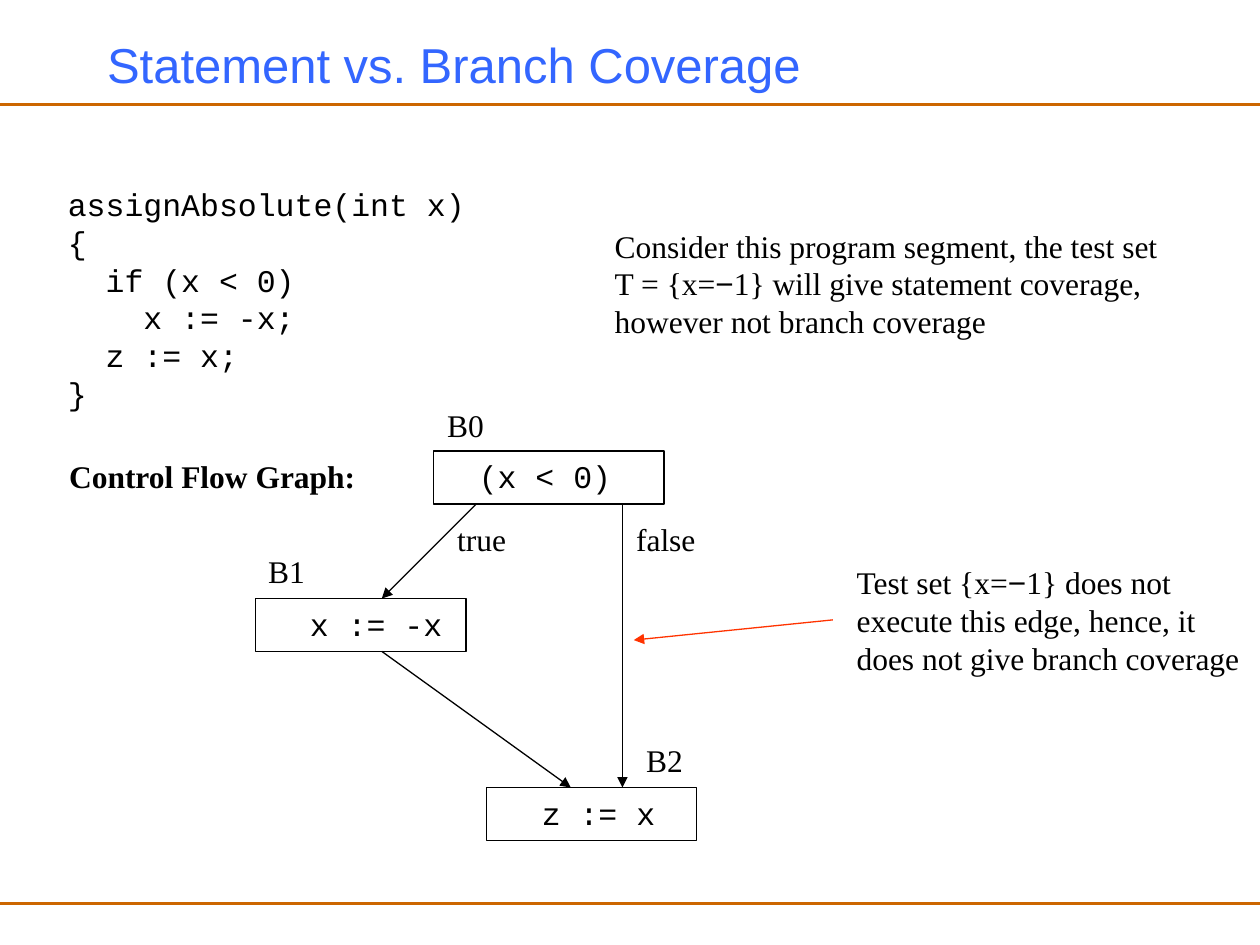
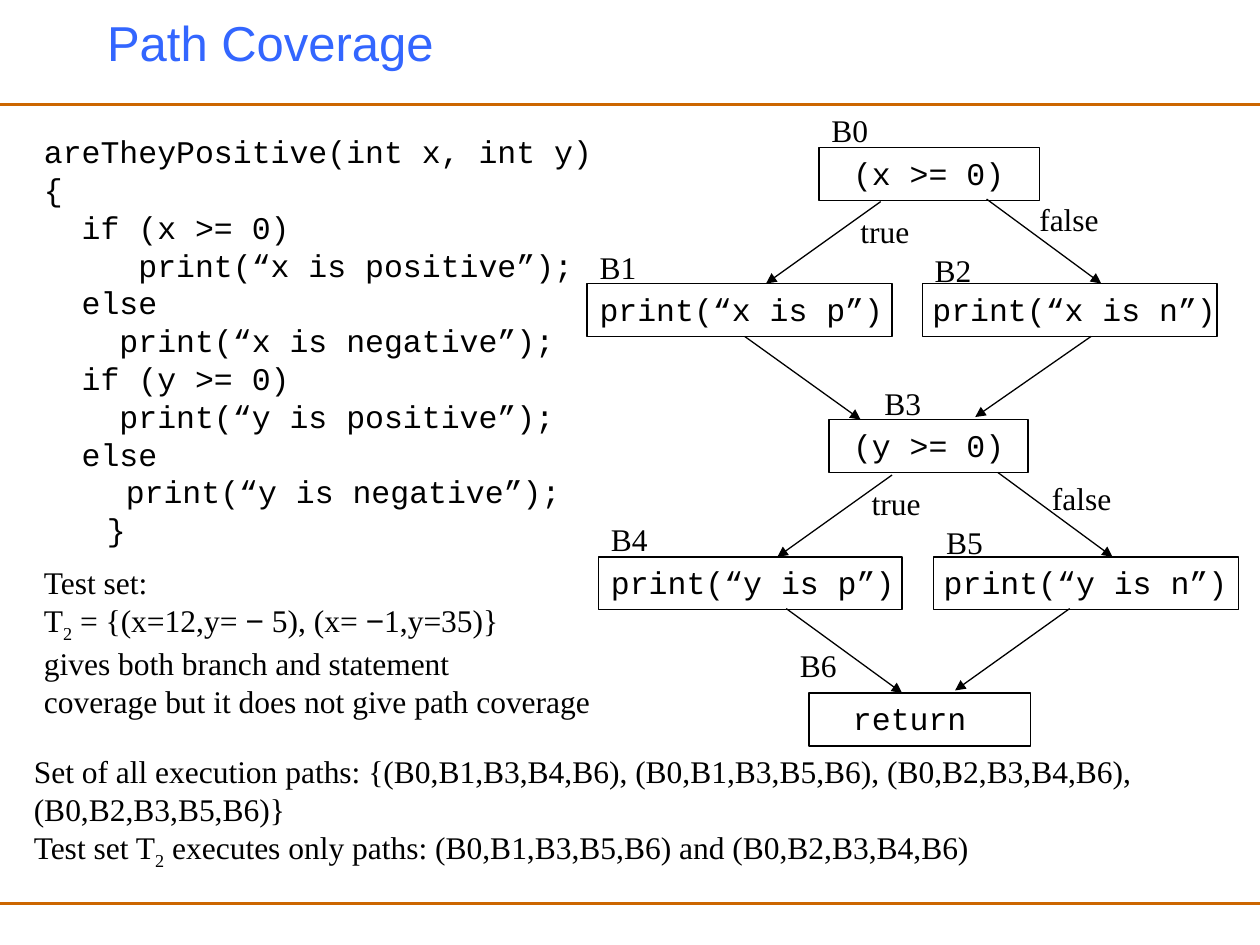
from itertools import groupby

from lxml import etree
from pptx import Presentation
from pptx.dml.color import RGBColor
from pptx.enum.shapes import MSO_CONNECTOR, MSO_SHAPE
from pptx.enum.text import MSO_ANCHOR, PP_ALIGN
from pptx.oxml.ns import qn
from pptx.util import Inches, Pt

SANS, SERIF, MONO = "Arial", "Times New Roman", "Courier New"
BLACK, BLUE, ORANGE, RED = "000000", "3366FF", "CC6600", "FF3300"
color = RGBColor.from_string


def write(shape, text, face=SERIF, bold=False, inset=0.1):
    """Fill a shape with lines of text; ₂ becomes a subscript and − is set in Arial."""
    frame = shape.text_frame
    frame.word_wrap = True
    frame.vertical_anchor = MSO_ANCHOR.TOP
    frame.margin_left, frame.margin_right = Inches(inset), 0
    frame.margin_top = frame.margin_bottom = Inches(0.05)
    for number, line in enumerate(text.split("\n")):
        para = frame.add_paragraph() if number else frame.paragraphs[0]
        para.alignment = PP_ALIGN.LEFT
        para.font.name, para.font.size, para.font.bold = face, Pt(18), bold
        para.font.color.rgb = color(BLACK)
        for mark, letters in groupby(line, lambda letter: letter if letter in "₂−" else ""):
            span = para.add_run()
            span.text = "2" if mark == "₂" else "".join(letters)
            if mark == "₂":
                span.font._element.set("baseline", "-25000")
            elif mark == "−":
                span.font.name = SANS
    return frame


def draw_line(page, start, end, hue=BLACK, width=0.75, arrow=True):
    line = page.shapes.add_connector(MSO_CONNECTOR.STRAIGHT, *map(Inches, start + end))
    line.line.color.rgb = color(hue)
    line.line.width = Pt(width)
    if arrow:
        etree.SubElement(line.line._get_or_add_ln(), qn("a:tailEnd"), type="triangle")
    etree.SubElement(line.element.spPr, qn("a:effectLst"))
    return line


assign_code = """assignAbsolute(int x)
{
  if (x < 0)
    x := -x;
  z := x;
}"""

positive_code = """areTheyPositive(int x, int y)
{
  if (x >= 0)
     print(“x is positive”);
  else
    print(“x is negative”);
  if (y >= 0)
    print(“y is positive”);
  else
 print(“y is negative”);
}"""

# Texts: left, top, width, height, text, font
# Nodes: left, top, width, text, text inset
# Labels: left, top, text
# Edges: start, end
slides = [
    {
        "title": "Statement vs. Branch Coverage",
        "title_top": 0.17,
        "texts": [
            (0.44, 1.42, 5, 1.9, assign_code, MONO),
            (4.78, 1.75, 4.6, 1, "Consider this program segment, the test set\n"
             "T = {x=−1} will give statement coverage,\nhowever not branch coverage", SERIF),
            (6.7, 4.42, 3.3, 1, "Test set {x=−1} does not\n"
             "execute this edge, hence, it\ndoes not give branch coverage", SERIF),
        ],
        "nodes": [
            (3.44, 3.58, 1.83, "(x < 0)", 0.36),
            (2.03, 4.75, 1.67, "x := -x", 0.43),
            (3.86, 6.25, 1.67, "z := x", 0.44),
        ],
        "labels": [
            (3.45, 3.17, "B0"), (2.03, 4.33, "B1"), (5.03, 5.83, "B2"),
            (3.53, 4.08, "true"), (4.95, 4.08, "false"),
        ],
        "edges": [
            ((3.78, 4), (3.03, 4.75)),
            ((3.03, 5.17), (4.53, 6.25)),
            ((4.94, 4), (4.94, 6.25)),
        ],
    },
    {
        "title": "Path Coverage",
        "title_top": 0,
        "texts": [
            (0.25, 1, 5, 3.4, positive_code, MONO),
            (0.25, 4.42, 5, 1.3, "Test set:\nT₂ = {(x=12,y= − 5), (x= −1,y=35)}\n"
             "gives both branch and statement\n"
             "coverage but it does not give path coverage", SERIF),
            (0.17, 5.92, 9.7, 1.04, "Set of all execution paths: {(B0,B1,B3,B4,B6), "
             "(B0,B1,B3,B5,B6), (B0,B2,B3,B4,B6), (B0,B2,B3,B5,B6)}\n"
             "Test set T₂ executes only paths: (B0,B1,B3,B5,B6) and (B0,B2,B3,B4,B6)", SERIF),
        ],
        "nodes": [
            (6.5, 1.17, 1.75, "(x >= 0)", 0.27),
            (4.66, 2.25, 2.42, "print(“x is p”)", 0.1),
            (7.32, 2.25, 2.34, "print(“x is n”)", 0.08),
            (6.58, 3.33, 1.58, "(y >= 0)", 0.19),
            (4.75, 4.42, 2.41, "print(“y is p”)", 0.1),
            (7.41, 4.42, 2.42, "print(“y is n”)", 0.08),
            (6.42, 5.5, 1.76, "return", 0.35),
        ],
        "labels": [
            (6.5, 0.83, "B0"), (4.66, 1.92, "B1"), (7.32, 1.94, "B2"), (6.92, 3, "B3"),
            (4.75, 4.08, "B4"), (7.41, 4.1, "B5"), (6.25, 5.08, "B6"),
            (6.73, 1.63, "true"), (8.15, 1.54, "false"),
            (6.82, 3.79, "true"), (8.25, 3.75, "false"),
        ],
        "edges": [
            ((6.99, 1.6), (6.08, 2.25)),
            ((7.83, 1.58), (8.74, 2.25)),
            ((5.91, 2.67), (6.83, 3.33)),
            ((8.66, 2.67), (7.74, 3.31)),
            ((7.08, 3.77), (6.17, 4.42)),
            ((7.92, 3.75), (8.83, 4.42)),
            ((6.24, 4.83), (7.16, 5.5)),
            ((8.49, 4.83), (7.58, 5.48)),
        ],
    },
]

deck = Presentation()
deck.slide_width, deck.slide_height = Inches(10), Inches(7.5)
pages, frames = [], []

for content in slides:
    page = deck.slides.add_slide(deck.slide_layouts[5])
    pages.append(page)

    title = page.shapes.title
    title.left, title.top = Inches(0.75), Inches(content["title_top"])
    title.width, title.height = Inches(8.5), Inches(0.67)
    title.text_frame.text = content["title"]
    title.text_frame.vertical_anchor = MSO_ANCHOR.MIDDLE
    heading = title.text_frame.paragraphs[0]
    heading.alignment = PP_ALIGN.LEFT
    heading.font.name, heading.font.size = SANS, Pt(28)
    heading.font.color.rgb = color(BLUE)

    for left, top, width, height, text, face in content["texts"]:
        box = page.shapes.add_textbox(*map(Inches, (left, top, width, height)))
        frames.append(write(box, text, face))

    for left, top, width, text, inset in content["nodes"]:
        node = page.shapes.add_shape(
            MSO_SHAPE.RECTANGLE, *map(Inches, (left, top, width, 0.42)))
        node.shadow.inherit = False
        node.fill.background()
        node.line.color.rgb = color(BLACK)
        node.line.width = Pt(0.75)
        write(node, text, MONO, inset=inset)

    for start, end in content["edges"]:
        draw_line(page, start, end)

    for left, top, text in content["labels"]:
        box = page.shapes.add_textbox(*map(Inches, (left, top, 0.75, 0.4)))
        write(box, text)

statement_page, path_page = pages

# The heading of the graph and the arrow to the edge that is never executed
graph_heading = statement_page.shapes.add_textbox(*map(Inches, (0.45, 3.58, 2.6, 0.4)))
write(graph_heading, "Control Flow Graph:", bold=True)
draw_line(statement_page, (6.61, 4.92), (5.03, 5.08), RED)

# The last two lines of the second program are indented
positive_frame = frames[len(slides[0]["texts"])]
for para in positive_frame.paragraphs[-2:]:
    para._p.get_or_add_pPr().set("marL", str(Inches(0.5)))

# Rules shared by all slides belong to the master
for number, height in enumerate((0.83, 7.17)):
    rule = draw_line(statement_page, (0, height), (10, height), ORANGE, 2, arrow=False)
    rule.element.nvCxnSpPr.cNvPr.set("id", str(100 + number))
    deck.slide_master.shapes.element.append(rule.element)

deck.save("out.pptx")
